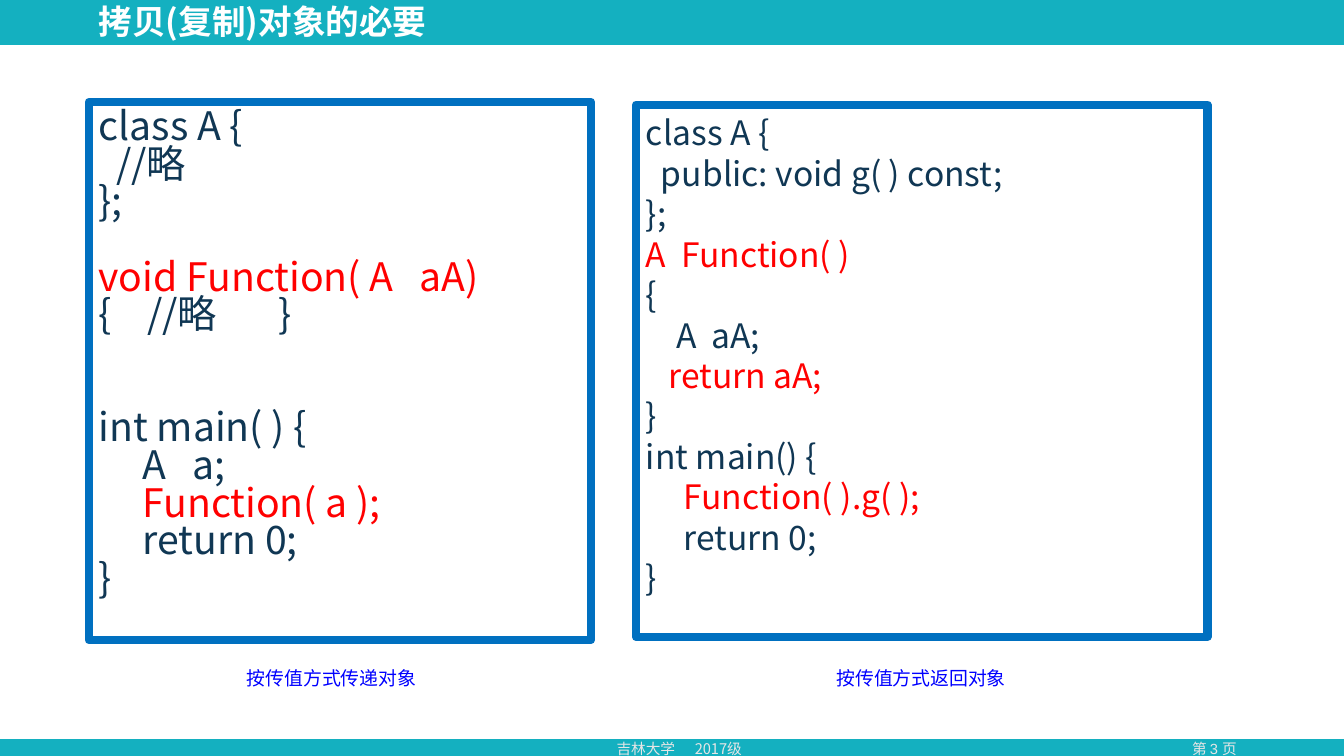
from dataclasses import dataclass

from lxml import etree
from pptx import Presentation
from pptx.dml.color import RGBColor
from pptx.enum.shapes import MSO_SHAPE
from pptx.enum.text import MSO_ANCHOR, MSO_AUTO_SIZE, PP_ALIGN
from pptx.oxml.ns import qn
from pptx.util import Cm, Pt

RECTANGLE = MSO_SHAPE.RECTANGLE
TOP, MIDDLE = MSO_ANCHOR.TOP, MSO_ANCHOR.MIDDLE
LEFT, CENTER = PP_ALIGN.LEFT, PP_ALIGN.CENTER
FIXED_SIZE = MSO_AUTO_SIZE.NONE
TITLE_ONLY = 5


@dataclass(frozen=True)
class Theme:
    """Colours, fonts and type sizes of the slide."""
    teal: str = "14B0C0"
    white: str = "FFFFFF"
    frame: str = "0070C0"
    code: str = "103754"
    highlight: str = "FF0000"
    caption: str = "0000FF"
    footer: str = "E7E6E6"
    cjk: str = "Noto Sans CJK SC"
    latin: str = "Arial"
    title_size: float = 24
    caption_size: float = 13.5
    footer_size: float = 10.5
    frame_width: float = 6


THEME = Theme()

PASS_BY_VALUE = [
    ("class A {", False, 0),
    ("  //略", False, 0),
    ("};", False, 0),
    ("void Function( A   aA)", True, 1),
    ("{    //略       }", False, 0),
    ("int main( ) {", False, 2),
    ("     A   a;", False, 0),
    ("     Function( a );", True, 0),
    ("     return 0;", False, 0),
    ("}", False, 0),
]
RETURN_BY_VALUE = [
    ("class A {", False, 0),
    ("  public: void g( ) const;", False, 0),
    ("};", False, 0),
    ("A  Function( )", True, 0),
    ("{", False, 0),
    ("    A  aA;", False, 0),
    ("   return aA;", True, 0),
    ("}", False, 0),
    ("int main() {", False, 0),
    ("     Function( ).g( );", True, 0),
    ("     return 0;", False, 0),
    ("}", False, 0),
]


def place(shape, area):
    """Move and size a shape to an area given in centimetres."""
    shape.left, shape.top, shape.width, shape.height = map(Cm, area)


def format_para(para, size, color, font=THEME.cjk, bold=False):
    """Format every run of a paragraph for Latin and East Asian text."""
    for span in para.runs:
        span.font.size = Pt(size)
        span.font.bold = bold
        span.font.name = font
        span.font.color.rgb = RGBColor.from_string(color)
        east_asian = etree.SubElement(span.font._element, qn("a:ea"))
        east_asian.set("typeface", THEME.cjk)


def set_frame(frame, anchor, inset_y):
    """Set wrapping, anchoring and vertical insets of a text frame."""
    frame.word_wrap = True
    frame.auto_size = FIXED_SIZE
    frame.vertical_anchor = anchor
    frame.margin_left = frame.margin_right = Cm(0.25)
    frame.margin_top = frame.margin_bottom = Cm(inset_y)


def add_tab(para, position):
    """Add a left tab stop to a paragraph."""
    tabs = etree.SubElement(para._p.get_or_add_pPr(), qn("a:tabLst"))
    etree.SubElement(tabs, qn("a:tab"), pos=str(Cm(position)), algn="l")


def add_backdrop(page):
    """Draw the white panel that leaves teal bands above and below."""
    page.background.fill.solid()
    page.background.fill.fore_color.rgb = RGBColor.from_string(THEME.teal)
    panel = page.shapes.add_shape(RECTANGLE, 0, Cm(1.14), Cm(33.87), Cm(17.48))
    panel.shadow.inherit = False
    panel.fill.solid()
    panel.fill.fore_color.rgb = RGBColor.from_string(THEME.white)
    panel.line.fill.background()


def set_title(page, text):
    """Fill and format the title placeholder."""
    title = page.shapes.title
    place(title, (2.24, 0.1, 19.51, 0.99))
    set_frame(title.text_frame, MIDDLE, 0)
    title.text_frame.text = text
    para = title.text_frame.paragraphs[0]
    para.alignment = LEFT
    para.line_spacing = 0.9
    format_para(para, THEME.title_size, THEME.white, bold=True)


def add_label(page, text, area, size, color, font=THEME.latin, align=CENTER):
    """Add a one-line text box and return its paragraph."""
    box = page.shapes.add_textbox(*map(Cm, area))
    set_frame(box.text_frame, MIDDLE, 0.1)
    box.text_frame.text = text
    para = box.text_frame.paragraphs[0]
    para.alignment = align
    format_para(para, size, color, font)
    return para


def add_code(page, lines, area, size, pitch, inset_y):
    """Add a framed code listing with highlighted lines."""
    box = page.shapes.add_shape(RECTANGLE, *map(Cm, area))
    box.shadow.inherit = False
    box.fill.background()
    box.line.color.rgb = RGBColor.from_string(THEME.frame)
    box.line.width = Pt(THEME.frame_width)
    frame = box.text_frame
    set_frame(frame, TOP, inset_y)
    frame.text = "\n".join(text for text, _, _ in lines)
    for para, (_, highlighted, gap) in zip(frame.paragraphs, lines):
        para.alignment = LEFT
        para.line_spacing = Pt(pitch)
        para.space_before = Pt(gap * pitch)
        format_para(para, size, THEME.highlight if highlighted else THEME.code)


def main():
    """Build the slide and save the deck."""
    deck = Presentation()
    deck.slide_width, deck.slide_height = Cm(33.87), Cm(19.05)
    page = deck.slides.add_slide(deck.slide_layouts[TITLE_ONLY])
    add_backdrop(page)
    set_title(page, "拷贝(复制)对象的必要")

    add_label(page, "第 3 页", (28.75, 18.52, 3.71, 0.71),
              THEME.footer_size, THEME.footer)
    school = add_label(page, "吉林大学\t2017级", (15.29, 18.52, 4.67, 0.71),
                       THEME.footer_size, THEME.footer, THEME.cjk, LEFT)
    add_tab(school, 1.97)

    add_code(page, PASS_BY_VALUE, (2.24, 2.57, 12.65, 13.56), 28, 26.9, 0.22)
    add_code(page, RETURN_BY_VALUE, (16.03, 2.64, 14.4, 13.41), 24, 28.9, 0.18)

    add_label(page, "按传值方式传递对象", (3.25, 16.66, 10.21, 0.84),
              THEME.caption_size, THEME.caption)
    add_label(page, "按传值方式返回对象", (19.81, 16.66, 6.81, 0.84),
              THEME.caption_size, THEME.caption)
    deck.save("out.pptx")


if __name__ == "__main__":
    main()
